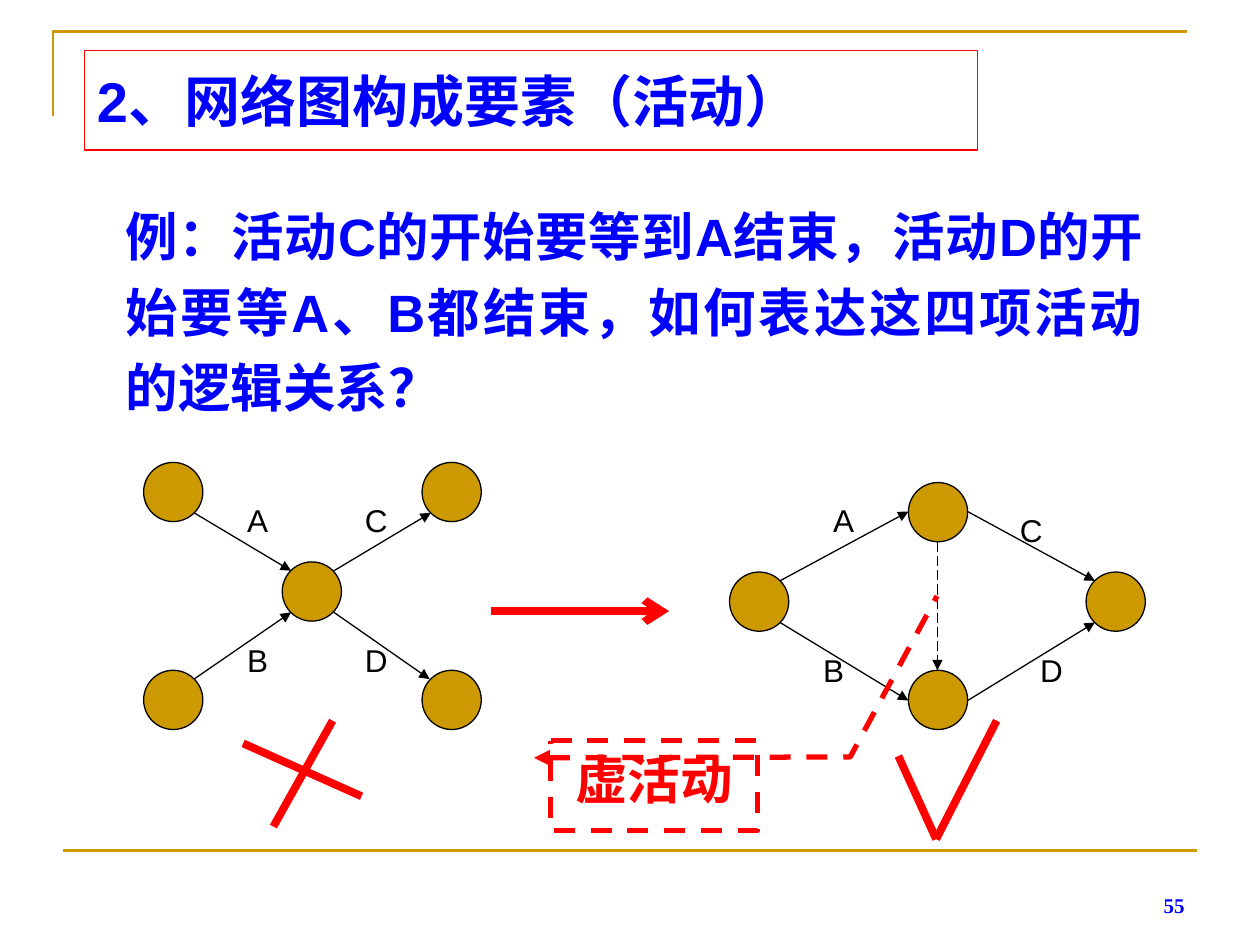
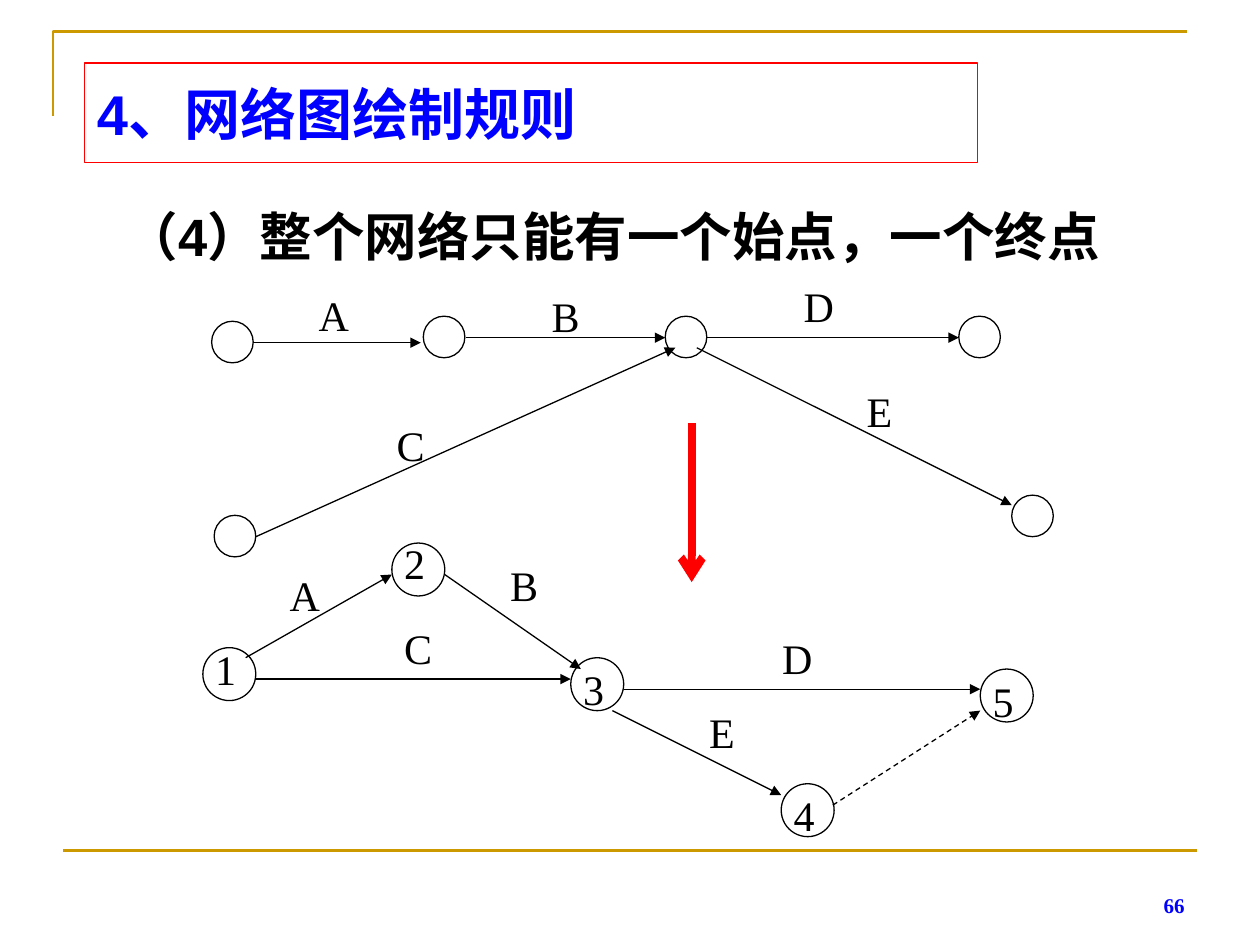
from pptx import Presentation
from pptx.dml.color import RGBColor
from pptx.enum.dml import MSO_LINE
from pptx.enum.shapes import MSO_CONNECTOR, MSO_SHAPE
from pptx.enum.text import MSO_ANCHOR, PP_ALIGN
from pptx.oxml.ns import qn
from pptx.oxml.xmlchemy import OxmlElement
from pptx.util import Pt

SCALE = 9144
GOLD = RGBColor(0xCC, 0x99, 0x00)
BLUE = RGBColor(0x00, 0x00, 0xFF)
RED = RGBColor(0xFF, 0x00, 0x00)
BLACK = RGBColor(0x00, 0x00, 0x00)
WHITE = RGBColor(0xFF, 0xFF, 0xFF)
SANS = "Arial"
SERIF = "Times New Roman"


class Deck:
    """Holds the shared style and draws on the current slide."""

    def __init__(self):
        self.show = Presentation()
        self.show.slide_width = 1000 * SCALE
        self.show.slide_height = 750 * SCALE

    def page(self, title, top, number):
        slide = self.show.slides.add_slide(self.show.slide_layouts[6])
        self.shapes = slide.shapes
        pen = self.shapes.build_freeform(42, 92, scale=SCALE)
        pen.add_line_segments([(42, 25), (942, 25)], close=False)
        self.paint(pen.convert_to_shape(), None, GOLD, 1.5)
        self.line((50, 675), (950, 675), GOLD, 1.5)
        box = self.shape(MSO_SHAPE.RECTANGLE, (67, top, 709, 79), None, RED)
        self.letter(box, title, 32, color=BLUE, bold=True, anchor=MSO_ANCHOR.MIDDLE)
        self.text((717, 683, 233, 50), number, 12, SERIF, BLUE, True,
                  PP_ALIGN.RIGHT, anchor=MSO_ANCHOR.BOTTOM)

    def paint(self, shape, fill, color, width):
        shape.shadow.inherit = False
        if fill is None:
            shape.fill.background()
        else:
            shape.fill.solid()
            shape.fill.fore_color.rgb = fill
        shape.line.color.rgb = color
        shape.line.width = Pt(width)

    def shape(self, kind, box, fill, color=BLACK, width=0.75):
        shape = self.shapes.add_shape(kind, *(n * SCALE for n in box))
        self.paint(shape, fill, color, width)
        return shape

    def node(self, left, top, size, fill):
        self.shape(MSO_SHAPE.OVAL, (left, top, size, size), fill)

    def letter(self, shape, words, size, font=SANS, color=BLACK, bold=False,
               align=PP_ALIGN.LEFT, inset=(10, 5), anchor=MSO_ANCHOR.TOP):
        frame = shape.text_frame
        frame.word_wrap = True
        frame.vertical_anchor = anchor
        frame.margin_left = frame.margin_right = inset[0] * SCALE
        frame.margin_top = frame.margin_bottom = inset[1] * SCALE
        para = frame.paragraphs[0]
        para.text = words
        para.alignment = align
        para.font.name = font
        para.font.size = Pt(size)
        para.font.bold = bold
        para.font.color.rgb = color
        return para

    def text(self, box, words, size, *style, **more):
        shape = self.shapes.add_textbox(*(n * SCALE for n in box))
        return self.letter(shape, words, size, *style, **more)

    def body(self, height, words, color):
        para = self.text((90, 147, 827, height), words, 30, SANS, color, True,
                         PP_ALIGN.JUSTIFY)
        para.line_spacing = 1.2

    def tip(self, shape, end, kind):
        head = OxmlElement(f"a:{end}End")
        head.set("type", kind)
        shape.element.spPr.find(qn("a:ln")).append(head)

    def line(self, start, end, color=BLACK, width=0.75, dash=None, tip=None):
        ends = (n * SCALE for n in (*start, *end))
        line = self.shapes.add_connector(MSO_CONNECTOR.STRAIGHT, *ends)
        line.line.color.rgb = color
        line.line.width = Pt(width)
        if dash:
            line.line.dash_style = dash
        if tip:
            self.tip(line, "tail", tip)
        line.element.spPr.append(OxmlElement("a:effectLst"))

    def arrow(self, start, end, dash=None):
        self.line(start, end, dash=dash, tip="triangle")

    def stroke(self, start, end, tip=None):
        self.line(start, end, RED, 4.5, tip=tip)

    def note(self, box, words, bends):
        shape = self.shape(MSO_SHAPE.LINE_CALLOUT_2, box, None, RED, 3)
        for i, bend in enumerate(bends):
            shape.adjustments[i] = bend
        shape.line.dash_style = MSO_LINE.DASH
        self.tip(shape, "head", "triangle")
        self.letter(shape, words, 30, color=RED, bold=True, align=PP_ALIGN.CENTER)


def logic(deck):
    """Draws the slide on the dummy activity."""
    deck.page("2、网络图构成要素（活动）", 40, "55")
    deck.body(190, "例：活动C的开始要等到A结束，活动D的开始要等A、B都结束，"
                   "如何表达这四项活动的逻辑关系？", BLUE)
    for left, top in [(114, 367), (114, 532), (224, 446), (335, 532), (335, 367),
                      (579, 454), (862, 454), (721, 383), (721, 532)]:
        deck.node(left, top, 47, GOLD)
    for start, end in [((154, 407), (231, 453)), ((154, 539), (231, 486)),
                       ((265, 453), (342, 407)), ((265, 486), (341, 539)),
                       ((619, 461), (721, 406)), ((619, 494), (721, 556)),
                       ((768, 406), (869, 461)), ((768, 556), (869, 494))]:
        deck.arrow(start, end)
    deck.arrow((744, 430), (744, 532), MSO_LINE.LONG_DASH)
    for name, left, top in [("A", 185, 398), ("B", 185, 509), ("C", 279, 398),
                            ("D", 279, 509), ("A", 650, 398), ("B", 642, 517),
                            ("C", 799, 406), ("D", 815, 517)]:
        deck.text((left, top, 39, 30), name, 18, align=PP_ALIGN.CENTER, inset=(0, 0))
    deck.stroke((390, 485), (531, 485), "arrow")
    for start, end in [((264, 572), (217, 656)), ((193, 590), (287, 632)),
                       ((713, 600), (743, 666)), ((743, 666), (791, 572))]:
        deck.stroke(start, end)
    deck.note((437, 588, 164, 71), "虚活动",
              (0.19, -0.08, 0.18, 1.45, -1.62, 1.87))


def rules(deck):
    """Draws the slide on one start and one end."""
    deck.page("4、网络图绘制规则", 50, "66")
    deck.body(70, "（4）整个网络只能有一个始点，一个终点", BLACK)
    for left, top in [(168, 255), (336, 251), (170, 409),
                      (528, 251), (761, 251), (803, 393)]:
        deck.node(left, top, 33, WHITE)
    steps = [("1", 161, 514, -8), ("2", 311, 431, -9), ("3", 453, 522, 0),
             ("4", 620, 622, 0), ("5", 778, 531, 0)]
    for name, left, top, shift in steps:
        deck.node(left, top, 42, WHITE)
        deck.text((left, top + shift, 42, 50), name, 24, SERIF)
    for start, end in [((201, 272), (334, 272)), ((370, 268), (528, 268)),
                       ((561, 268), (761, 268)), ((203, 426), (536, 276)),
                       ((553, 276), (803, 401)), ((203, 539), (453, 539)),
                       ((495, 547), (778, 547)), ((195, 522), (311, 456)),
                       ((353, 456), (461, 531)), ((486, 564), (620, 631))]:
        deck.arrow(start, end)
    deck.arrow((661, 639), (778, 564), MSO_LINE.DASH)
    for name, left, top in [("A", 243, 225), ("B", 428, 226), ("D", 628, 218),
                            ("C", 305, 328), ("E", 678, 301), ("A", 220, 447),
                            ("B", 395, 439), ("C", 311, 489), ("D", 611, 497),
                            ("E", 553, 556)]:
        deck.text((left, top, 42, 50), name, 24, SERIF)
    deck.stroke((549, 336), (549, 462), "arrow")


def main():
    """Builds and saves the slides."""
    deck = Deck()
    logic(deck)
    rules(deck)
    deck.show.save("out.pptx")


if __name__ == "__main__":
    main()
